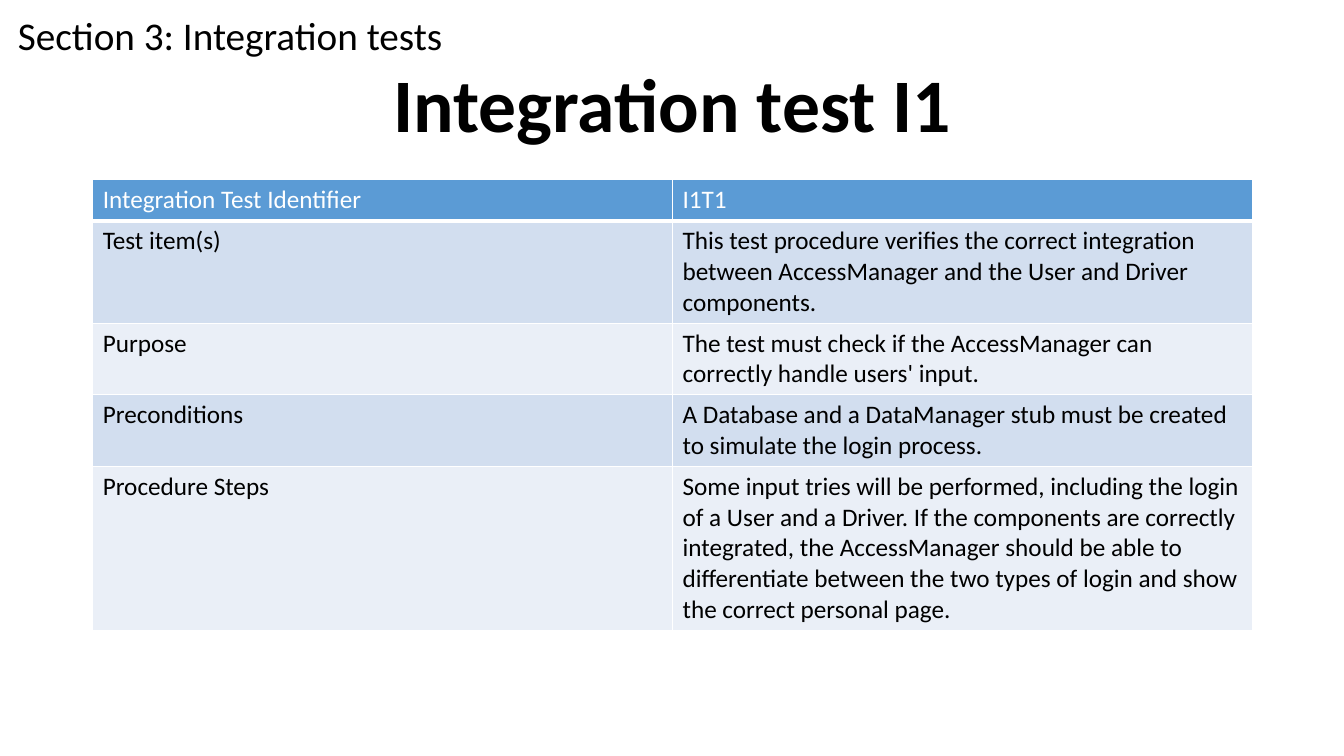
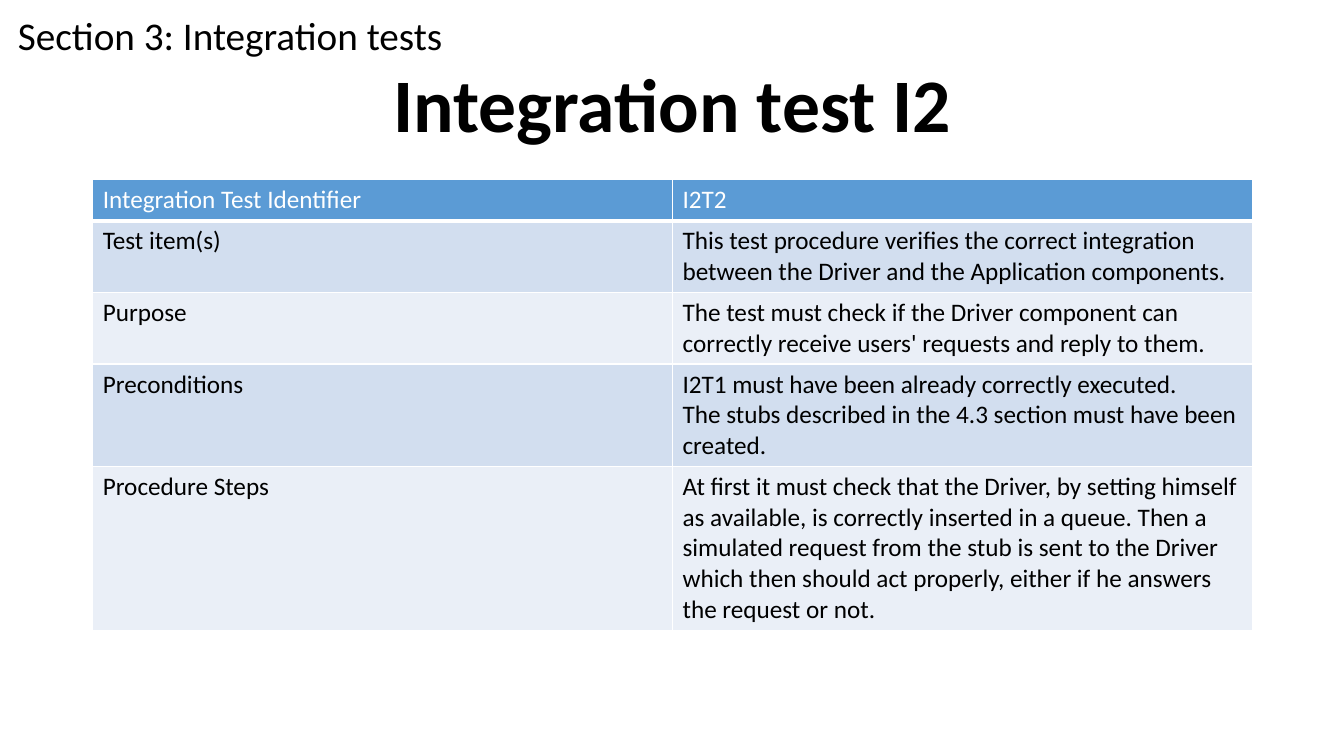
"""Builds the integration test slides, one test table per slide."""
import pptx
import pptx.dml.color
import pptx.enum.text
import pptx.oxml.ns
import pptx.util
from lxml import etree

Inches = pptx.util.Inches
Pt = pptx.util.Pt
RGBColor = pptx.dml.color.RGBColor
qn = pptx.oxml.ns.qn

BLACK = RGBColor(0x00, 0x00, 0x00)
WHITE = RGBColor(0xFF, 0xFF, 0xFF)
HEADER_BLUE = RGBColor(0x5B, 0x9B, 0xD5)
ROW_BANDS = (RGBColor(0xEA, 0xEF, 0xF7), RGBColor(0xD2, 0xDE, 0xEF))
FONT = "Calibri"
SECTION = "Section 3: Integration tests"
FIELDS = ("Integration Test Identifier", "Test item(s)", "Purpose",
          "Preconditions", "Procedure Steps")
TESTS = {
    "Integration test I1": (
        "I1T1",
        "This test procedure verifies the correct integration between "
        "AccessManager and the User and Driver components.",
        "The test must check if the AccessManager can correctly handle users' input.",
        "A Database and a DataManager stub must be created to simulate the login process.",
        "Some input tries will be performed, including the login of a User and a Driver. "
        "If the components are correctly integrated, the AccessManager should be able to "
        "differentiate between the two types of login and show the correct personal page.",
    ),
    "Integration test I2": (
        "I2T2",
        "This test procedure verifies the correct integration between the Driver "
        "and the Application components.",
        "The test must check if the Driver component can correctly receive users' "
        "requests and reply to them.",
        "I2T1 must have been already correctly executed.\n"
        "The stubs described in the 4.3 section must have been created.",
        "At first it must check that the Driver, by setting himself as available, is "
        "correctly inserted in a queue. Then a simulated request from the stub is sent to "
        "the Driver which then should act properly, either if he answers the request or not.",
    ),
}


def write(frame, text, size=18, color=BLACK, bold=False, align=None, spacing=None):
    frame.text = text
    for paragraph in frame.paragraphs:
        paragraph.alignment = align
        paragraph.line_spacing = spacing
        for run in paragraph.runs:
            run.font.name = FONT
            run.font.size = Pt(size)
            run.font.bold = bold
            run.font.color.rgb = color


def add_borders(cell, **widths):
    properties = cell._tc.get_or_add_tcPr()
    for side in "LRTB":
        line = etree.SubElement(properties, qn(f"a:ln{side}"), w=str(Pt(widths.get(side, 1))))
        fill = etree.SubElement(line, qn("a:solidFill"))
        etree.SubElement(fill, qn("a:srgbClr"), val=str(WHITE))


class TestDeck:
    def __init__(self):
        self.deck = pptx.Presentation()
        self.deck.slide_width = Inches(13.33)
        self.deck.slide_height = Inches(7.5)
        self.slide = None

    def start_slide(self, heading):
        self.slide = self.deck.slides.add_slide(self.deck.slide_layouts[5])
        title = self.slide.shapes.title
        title.left, title.top = Inches(0.92), Inches(0.59)
        title.width, title.height = Inches(11.5), Inches(0.97)
        title.text_frame.vertical_anchor = pptx.enum.text.MSO_ANCHOR.MIDDLE
        write(title.text_frame, heading, size=54, bold=True,
              align=pptx.enum.text.PP_ALIGN.CENTER, spacing=0.9)

    def add_test_table(self, details):
        table = self.slide.shapes.add_table(
            len(FIELDS), 2, Inches(0.92), Inches(1.78),
            Inches(11.5), Inches(0.41 * len(FIELDS))).table
        for index, texts in enumerate(zip(FIELDS, details)):
            is_header = index == 0
            for column, text in enumerate(texts):
                cell = table.cell(index, column)
                add_borders(cell, T=3 if index == 1 else 1, B=3 if is_header else 1)
                cell.fill.solid()
                cell.fill.fore_color.rgb = HEADER_BLUE if is_header else ROW_BANDS[index % 2]
                write(cell.text_frame, text, color=WHITE if is_header else BLACK)

    def add_section_label(self, text):
        label = self.slide.shapes.add_textbox(
            Inches(0.08), Inches(0.06), Inches(4.46), Inches(0.57)).text_frame
        label.word_wrap = False
        label.auto_size = pptx.enum.text.MSO_AUTO_SIZE.SHAPE_TO_FIT_TEXT
        write(label, text, size=28)


test_deck = TestDeck()
for heading, details in TESTS.items():
    test_deck.start_slide(heading)
    test_deck.add_test_table(details)
    test_deck.add_section_label(SECTION)
test_deck.deck.save("out.pptx")
